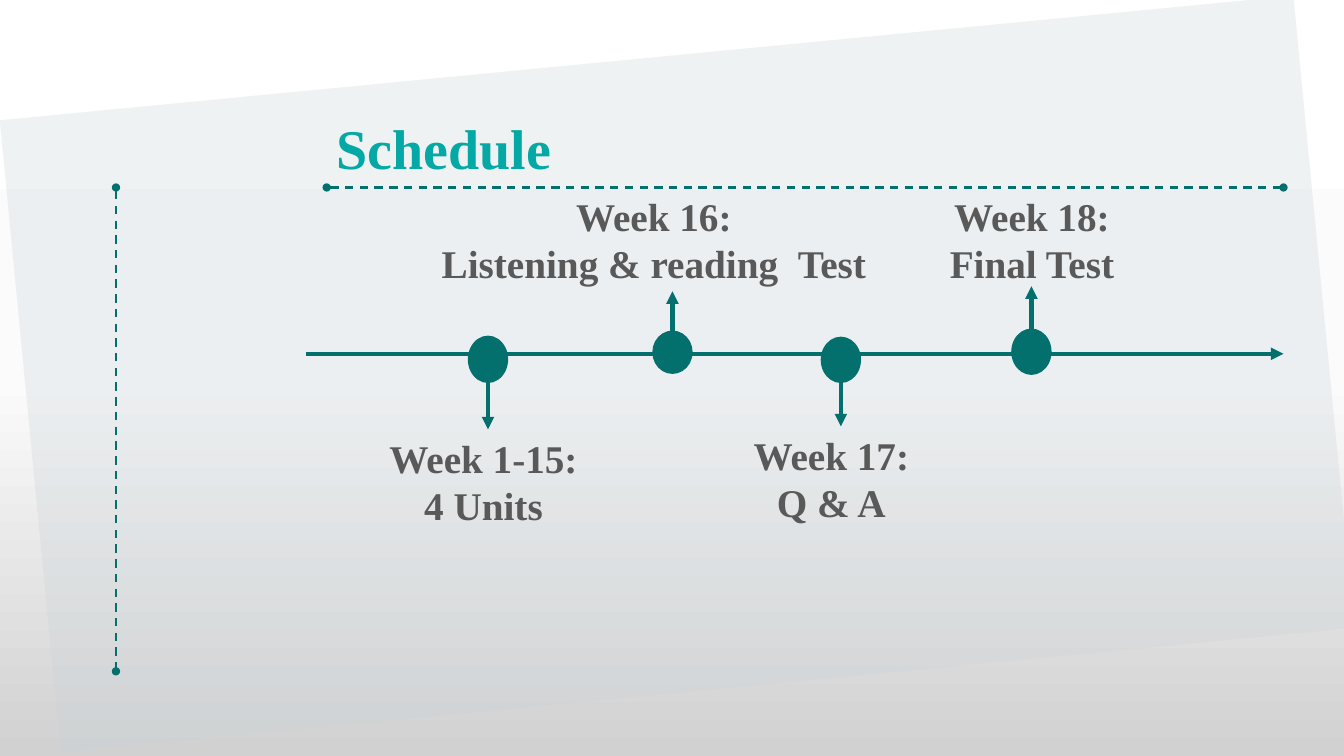
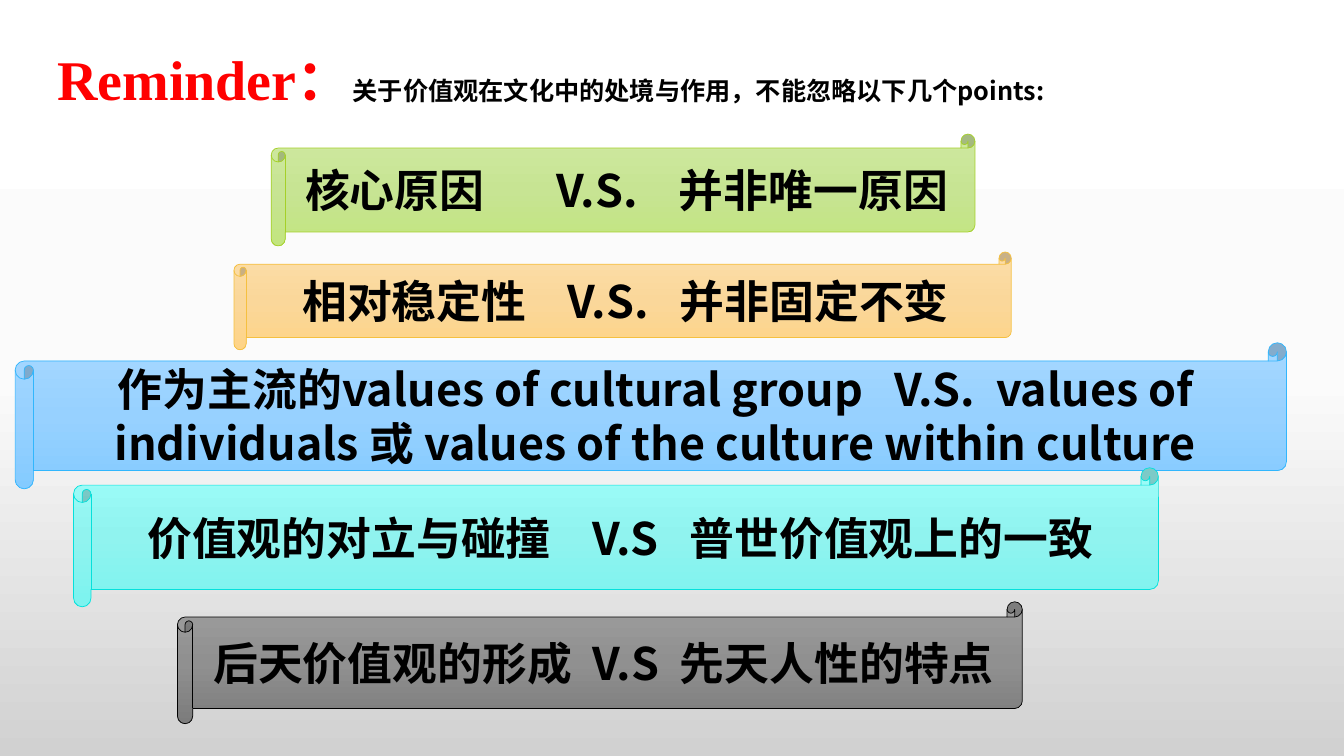
"""Build a course schedule slide and a reminder slide."""
from lxml.etree import SubElement
from pptx import Presentation
from pptx.dml.color import RGBColor
from pptx.enum.dml import MSO_LINE
from pptx.enum.shapes import MSO_CONNECTOR, MSO_SHAPE
from pptx.enum.text import MSO_ANCHOR, PP_ALIGN
from pptx.oxml.ns import qn
from pptx.util import Pt

PX = 9144
HUES = {
    "teal": "03706E", "title": "04A8A4", "label": "595959",
    "alert": "FF0000", "ink": "000000", "panel": "CAD3D9",
}
PAGE = ("FFFFFF", "FBFBFB", "D1D1D1")
SERIF = "Times New Roman"
SANS = "Noto Sans CJK SC"
SPACE = {SERIF: 0.25, SANS: 0.23}

STOPS = [
    (484, 333, 47, 426, 372, 215, [("Week 1-15:",), ("4 Units",)]),
    (667, 328, 43, 289, 398, 501,
     [("Week 16:",), ("Listening & reading", 2, "Test")]),
    (834, 334, 46, 423, 717, 215, [("Week 17:",), ("Q & A",)]),
    (1023, 326, 46, 284, 916, 215, [("Week 18:",), ("Final Test",)]),
]
SCROLLS = [
    ((269, 133, 698, 111), ("CFE9A1", "C7E493", "C2E57F"), "A5D028",
     ("核心原因", 7, "V.S.", 4, "并非唯一原因")),
    ((232, 250, 771, 97), ("FCDEA9", "FAD79A", "FED487"), "F5C040",
     ("相对稳定性", 4, "V.S.", 3, "并非固定不变")),
    ((15, 340, 1261, 145), ("A6D8FF", "97D1FF", "84CBFF"), "31B6FD",
     ("作为主流的values of cultural group", 3, "V.S.", 2,
      "values of individuals 或 values of the culture within culture")),
    ((73, 464, 1076, 138), ("9DFDF9", "90F3EF", "7CF3EF"), "05E0DB",
     ("价值观的对立与碰撞", 4, "V.S", 3, "普世价值观上的一致")),
    ((176, 597, 838, 121), ("9D9D9D", "909090", "7C7C7C"), "000000",
     ("后天价值观的形成", 2, "V.S", 2, "先天人性的特点")),
]


def scale(*sides):
    """Turn px lengths into EMU."""
    return [side * PX for side in sides]


def tint(fill, hue):
    """Give a fill one solid colour."""
    fill.solid()
    fill.fore_color.rgb = RGBColor.from_string(hue)


def blend(owner, fill, hues):
    """Give a fill evenly spaced stops from top to bottom."""
    fill.gradient()
    fill.gradient_angle = 270
    stops = owner.element.find(".//" + qn("a:gsLst"))
    stops.clear()
    for rank, hue in enumerate(hues):
        spot = str(rank * 100000 // (len(hues) - 1))
        stop = SubElement(stops, qn("a:gs"), pos=spot)
        SubElement(stop, qn("a:srgbClr"), val=hue)


def write(par, parts, size, hue, font=SERIF):
    """Add bold runs, where a number stands for a gap that many spaces wide."""
    for part in parts:
        run = par.add_run()
        wide = isinstance(part, int)
        run.text = " " if wide else part
        run.font.size = Pt(size)
        run.font.bold = True
        run.font.color.rgb = RGBColor.from_string(HUES[hue])
        run.font.name = font
        props = run._r.get_or_add_rPr()
        SubElement(props, qn("a:ea"), typeface=SANS)
        if wide:
            props.set("spc", str(round((part - 1) * size * SPACE[font] * 100)))


def add_text(slide, *place):
    """Add a wrapping text box and return its frame."""
    frame = slide.shapes.add_textbox(*scale(*place)).text_frame
    frame.word_wrap = True
    return frame


def add_head(slide, place, text, hue):
    """Add a slide title and return its paragraph."""
    par = add_text(slide, *place).paragraphs[0]
    par.line_spacing = 1.35
    write(par, [text], 40, hue)
    return par


def add_shape(slide, kind, *place):
    """Add a preset shape without shadow or outline."""
    shape = slide.shapes.add_shape(kind, *scale(*place))
    shape.shadow.inherit = False
    shape.line.fill.background()
    return shape


def add_line(slide, ends, width, head=None, tail=None, dash=None):
    """Add a teal connector with optional end marks."""
    line = slide.shapes.add_connector(MSO_CONNECTOR.STRAIGHT, *scale(*ends))
    line.line.width = Pt(width)
    tint(line.line.fill, HUES["teal"])
    if dash:
        line.line.dash_style = dash
    props = line.line._get_or_add_ln()
    for name, mark in (("a:headEnd", head), ("a:tailEnd", tail)):
        if mark:
            SubElement(props, qn(name), type=mark)
    SubElement(line.element.spPr, qn("a:effectLst"))


def add_panel(slide):
    """Add the tilted, see-through panel."""
    panel = add_shape(slide, MSO_SHAPE.RECTANGLE, 27, 56, 1289, 630)
    panel.rotation = 174.5
    tint(panel.fill, HUES["panel"])
    shade = panel.element.spPr.find(".//" + qn("a:srgbClr"))
    SubElement(shade, qn("a:alpha"), val="29000")


def add_stop(slide, mid, top, high, tip, left, wide, lines):
    """Add a timeline dot with its arrow and label."""
    dot = add_shape(slide, MSO_SHAPE.OVAL, mid - 20, top, 40, high)
    tint(dot.fill, HUES["teal"])
    core = top + high // 2
    add_line(slide, (mid, core, mid, tip), 3, tail="triangle")
    frame = add_text(slide, left, tip if tip > core else 186, wide, 103)
    for rank, parts in enumerate(lines):
        par = frame.add_paragraph() if rank else frame.paragraphs[0]
        par.alignment = PP_ALIGN.CENTER
        par.line_spacing = Pt(33.6)
        write(par, parts, 28, "label")


def add_scroll(slide, place, hues, edge, parts):
    """Add a shaded scroll with centred text."""
    scroll = add_shape(slide, MSO_SHAPE.HORIZONTAL_SCROLL, *place)
    blend(scroll, scroll.fill, hues)
    tint(scroll.line.fill, edge)
    scroll.line.width = Pt(0.5)
    frame = scroll.text_frame
    frame.word_wrap = True
    frame.vertical_anchor = MSO_ANCHOR.MIDDLE
    par = frame.paragraphs[0]
    par.alignment = PP_ALIGN.CENTER
    write(par, parts, 32, "ink", SANS)


def draw_plan(slide):
    """Draw the schedule slide."""
    add_panel(slide)
    for ends in ((115, 186, 115, 666), (324, 186, 1273, 186)):
        add_line(slide, ends, 1.5, "oval", "oval", MSO_LINE.DASH)
    add_head(slide, (324, 84, 803, 91), "Schedule", "title")
    add_line(slide, (304, 351, 1273, 351), 3, tail="triangle")
    for stop in STOPS:
        add_stop(slide, *stop)


def draw_notes(slide):
    """Draw the reminder slide."""
    par = add_head(slide, (47, 16, 1255, 100), "Reminder：", "alert")
    write(par, ["关于价值观在文化中的处境与作用，不能忽略以下几个points:"],
          18, "ink", SANS)
    for scroll in SCROLLS:
        add_scroll(slide, *scroll)


def main():
    """Build and save the deck."""
    deck = Presentation()
    deck.slide_width, deck.slide_height = scale(1333, 750)
    base = deck.slide_master
    blend(base, base.background.fill, PAGE)
    for draw in (draw_plan, draw_notes):
        draw(deck.slides.add_slide(deck.slide_layouts[6]))
    deck.save("out.pptx")


if __name__ == "__main__":
    main()
